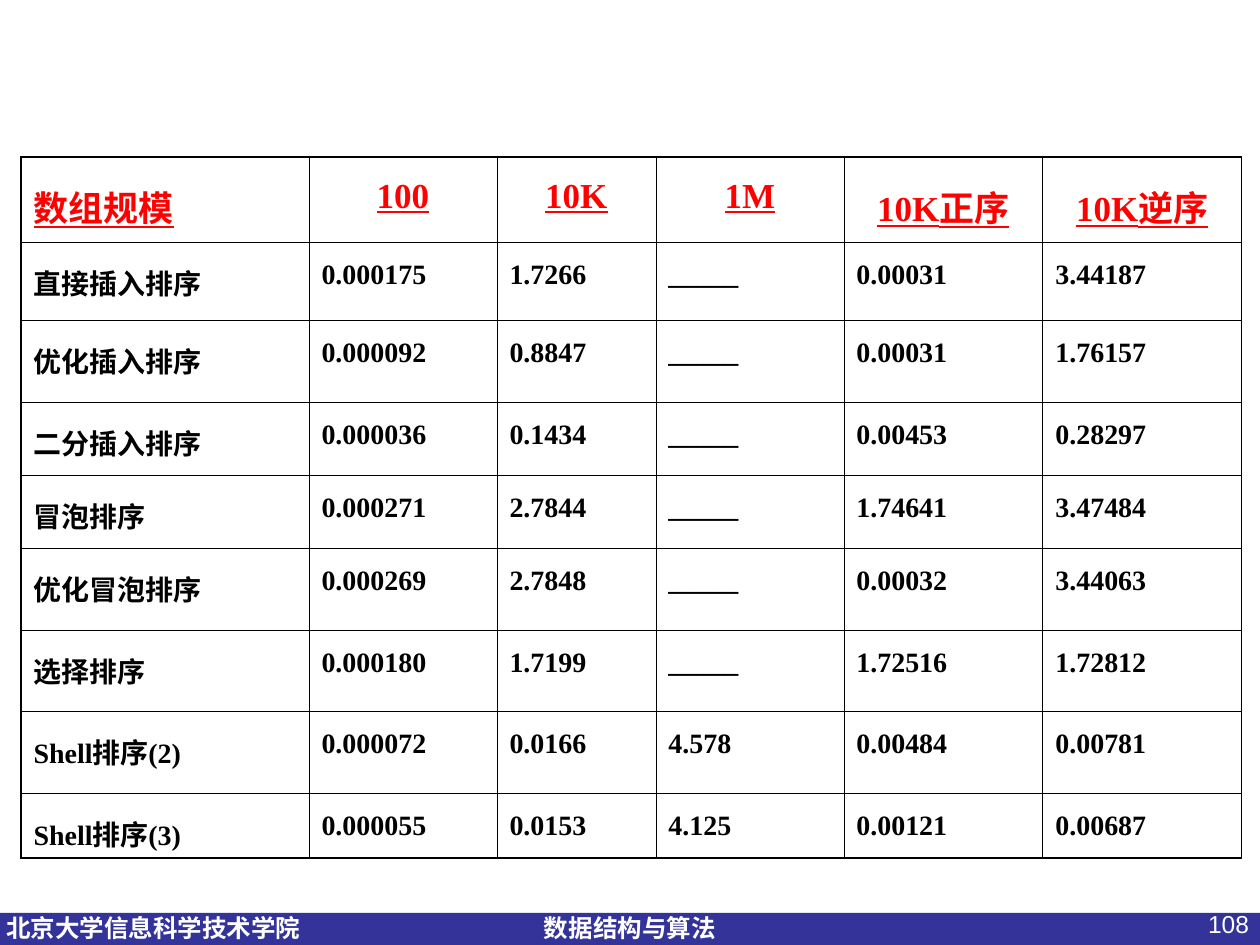
from lxml import etree
from pptx import Presentation
from pptx import util as u
from pptx.dml.color import RGBColor
from pptx.enum import shapes, text
from pptx.oxml.ns import qn

PX = u.Inches(1) / 126
BLACK, WHITE, RED, NAVY = "000000", "FFFFFF", "FF0000", "333399"
THICK, THIN = u.Pt(1.08), u.Pt(0.45)


def style_font(font, face, size, color, bold):
    font.name, font.size, font.bold = face, u.Pt(size), bold
    font.color.rgb = RGBColor.from_string(color)


def add_border(cell, side, width):
    line = etree.SubElement(cell._tc.get_or_add_tcPr(), qn("a:" + side), w=str(width))
    fill = etree.SubElement(line, qn("a:solidFill"))
    etree.SubElement(fill, qn("a:srgbClr"), val=BLACK)


prs = Presentation()
prs.slide_width, prs.slide_height = u.Inches(10), u.Inches(7.5)
slide = prs.slides.add_slide(prs.slide_layouts[6])

# Footer band and its texts
band = slide.shapes.add_shape(
    shapes.MSO_SHAPE.RECTANGLE, 0, round(913 * PX), prs.slide_width, round(35 * PX))
band.shadow.inherit = False
band.fill.solid()
band.fill.fore_color.rgb = RGBColor.from_string(NAVY)
band.line.fill.background()

FOOTERS = [
    ("北京大学信息科学技术学院", (6, 907, 307, 43), True, text.PP_ALIGN.LEFT),
    ("数据结构与算法", (544, 907, 184, 43), True, text.PP_ALIGN.LEFT),
    ("108", (968, 903, 281, 66), False, text.PP_ALIGN.RIGHT),
]
for words, box, bold, align in FOOTERS:
    footer = slide.shapes.add_textbox(*(round(n * PX) for n in box)).text_frame
    footer.word_wrap = True
    footer.margin_left = footer.margin_right = 0
    paragraph = footer.paragraphs[0]
    paragraph.text, paragraph.alignment = words, align
    style_font(paragraph.font, "Arial", 14, WHITE, bold)

# Running times of the sorting algorithms
NONE = "_____"
TIMINGS = [
    ("数组规模", "100", "10K", "1M", "10K正序", "10K逆序"),
    ("直接插入排序", "0.000175", "1.7266", NONE, "0.00031", "3.44187"),
    ("优化插入排序", "0.000092", "0.8847", NONE, "0.00031", "1.76157"),
    ("二分插入排序", "0.000036", "0.1434", NONE, "0.00453", "0.28297"),
    ("冒泡排序", "0.000271", "2.7844", NONE, "1.74641", "3.47484"),
    ("优化冒泡排序", "0.000269", "2.7848", NONE, "0.00032", "3.44063"),
    ("选择排序", "0.000180", "1.7199", NONE, "1.72516", "1.72812"),
    ("Shell排序(2)", "0.000072", "0.0166", "4.578", "0.00484", "0.00781"),
    ("Shell排序(3)", "0.000055", "0.0153", "4.125", "0.00121", "0.00687"),
]
COLUMN_WIDTHS = [288, 188, 159, 188, 199, 199]
ROW_HEIGHTS = [85, 78, 82, 73, 73, 82, 81, 82, 65]

timings = slide.shapes.add_table(
    len(TIMINGS), len(COLUMN_WIDTHS), round(21 * PX), round(157 * PX),
    round(sum(COLUMN_WIDTHS) * PX), round(sum(ROW_HEIGHTS) * PX)).table
timings.first_row = timings.horz_banding = False
for column, width in zip(timings.columns, COLUMN_WIDTHS):
    column.width = round(width * PX)
for row, height in zip(timings.rows, ROW_HEIGHTS):
    row.height = round(height * PX)

for r, values in enumerate(TIMINGS):
    header = r == 0
    for c, value in enumerate(values):
        cell = timings.cell(r, c)
        add_border(cell, "lnL", THICK if c == 0 else THIN)
        add_border(cell, "lnR", THIN)
        add_border(cell, "lnT", THICK if header else THIN)
        add_border(cell, "lnB", THICK if r == len(TIMINGS) - 1 else THIN)
        cell.fill.background()
        paragraph = cell.text_frame.paragraphs[0]
        paragraph.text, paragraph.line_spacing = value, 1.35
        if header and c > 0:
            paragraph.alignment = text.PP_ALIGN.CENTER
        style_font(paragraph.font, "Times New Roman", 20 if header else 16,
                   RED if header else BLACK, True)
        paragraph.font.underline = header

prs.save("out.pptx")
